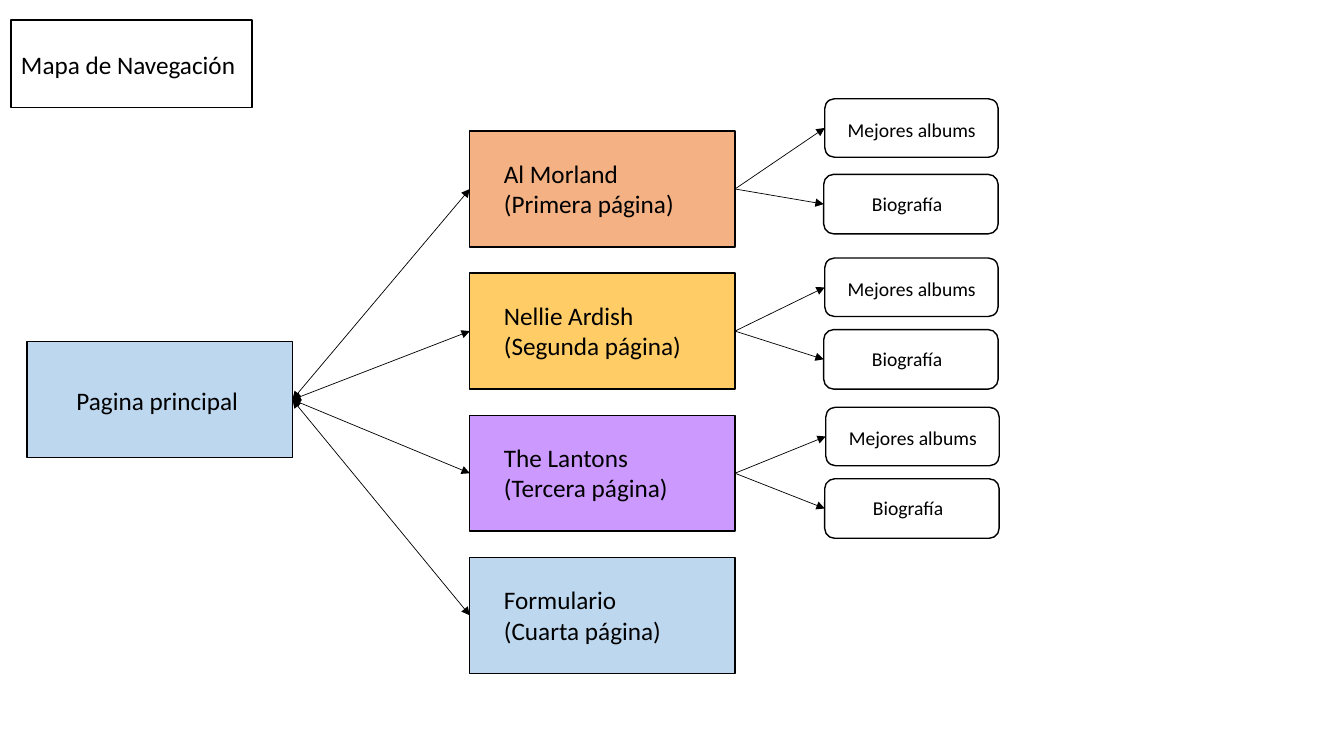
from lxml import etree
from pptx import Presentation, util as u
from pptx.dml.color import RGBColor
from pptx.enum import shapes, text
from pptx.oxml.ns import qn

THEME = dict(font="Calibri", ink="000000", white="FFFFFF", blue="BDD7EE",
             orange="F4B183", yellow="FFCC66", purple="CC99FF",
             body=18, small=14, border=1, arrow=0.5)

TITLE = "Mapa de Navegación"
HOME = "Pagina principal"
TOPICS = ["Mejores albums", "Biografía"]
PAGES = [
    (["Al Morland (Primera página)"], "orange", (8.18, 0.98, 1.73)),
    (["Nellie Ardish", "(Segunda página)"], "yellow", (8.18, 2.56, 3.27)),
    (["The Lantons", "(Tercera página)"], "purple", (8.19, 4.04, 4.75)),
    (["Formulario", "(Cuarta página)"], "blue", None),
]
PAGE_SIZE = (2.63, 1.15)
PAGE_LEFT, PAGE_TOP, PAGE_STEP = 4.66, 1.3, 1.41
TOPIC_SIZES = [(1.72, 0.58), (1.73, 0.59)]
TOPIC_LABELS = [(0.13, 0.14, 1.54, 0.27), (0.38, 0.12, 0.91, 0.34)]
LEFT_SITE, RIGHT_SITE = 1, 3

prs = Presentation()
prs.slide_width, prs.slide_height = u.Inches(13.33), u.Inches(7.5)
s = prs.slides.add_slide(prs.slide_layouts[6])


def color(name):
    return RGBColor.from_string(THEME[name])


def add_text(parent, lines, at, size="body"):
    tf = parent.shapes.add_textbox(*map(u.Inches, at)).text_frame
    tf.word_wrap = True
    tf.vertical_anchor = text.MSO_ANCHOR.TOP
    for i, line in enumerate(lines):
        p = tf.paragraphs[0] if i == 0 else tf.add_paragraph()
        r = p.add_run()
        r.text = line
        r.font.name, r.font.size = THEME["font"], u.Pt(THEME[size])
        r.font.color.rgb = color("ink")


def add_box(lines, at, label, fill="white", size="body", kind="RECTANGLE"):
    group = s.shapes.add_group_shape()
    sp = group.shapes.add_shape(shapes.MSO_SHAPE[kind], *map(u.Inches, at))
    sp.shadow.inherit = False
    sp.fill.solid()
    sp.fill.fore_color.rgb = color(fill)
    sp.line.color.rgb = color("ink")
    sp.line.width = u.Pt(THEME["border"])
    dx, dy, w, h = label
    add_text(group, lines, (at[0] + dx, at[1] + dy, w, h), size)
    return sp


def add_arrow(start, end, ends):
    cx = s.shapes.add_connector(shapes.MSO_CONNECTOR.STRAIGHT, 0, 0, 0, 0)
    cx.begin_connect(start, RIGHT_SITE)
    cx.end_connect(end, LEFT_SITE)
    cx.line.color.rgb = color("ink")
    cx.line.width = u.Pt(THEME["arrow"])
    ln = cx.line._get_or_add_ln()
    for tag in ends:
        etree.SubElement(ln, qn(tag), type="triangle")
    etree.SubElement(cx._element.spPr, qn("a:effectLst"))


add_box([TITLE], (0.11, 0.2, 2.39, 0.87), (0, 0.24, 2.39, 0.4))
home = add_box([HOME], (0.27, 3.39, *PAGE_SIZE), (0.39, 0.38, 1.84, 0.4), "blue")

for i, (lines, fill, topics) in enumerate(PAGES):
    page = add_box(lines, (PAGE_LEFT, PAGE_TOP + i * PAGE_STEP, *PAGE_SIZE),
                   (0.24, 0.22, 2.17, 0.71), fill)
    add_arrow(home, page, ["a:headEnd", "a:tailEnd"])
    if topics:
        left, *tops = topics
        for j, (topic, top) in enumerate(zip(TOPICS, tops)):
            box = add_box([topic], (left - 0.01 * j, top, *TOPIC_SIZES[j]),
                          TOPIC_LABELS[j], size="small", kind="ROUNDED_RECTANGLE")
            add_arrow(page, box, ["a:tailEnd"])

prs.save("out.pptx")
